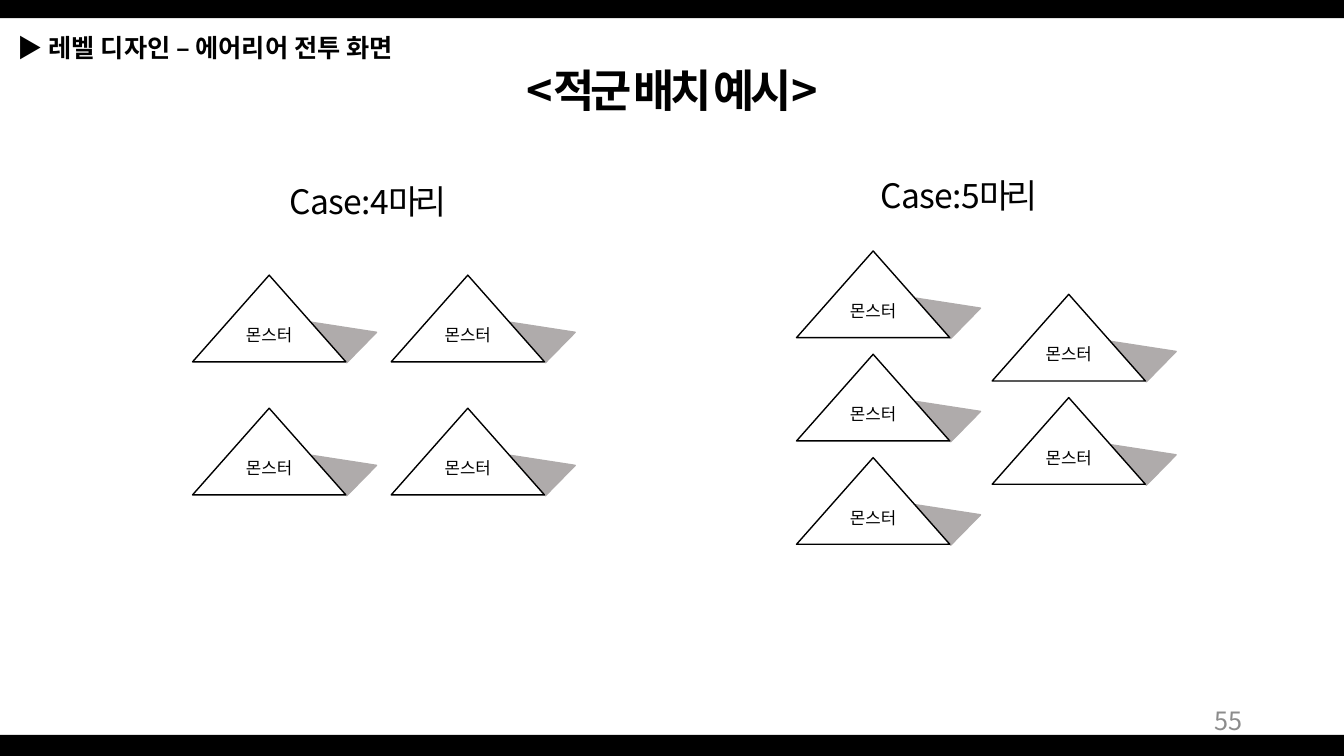
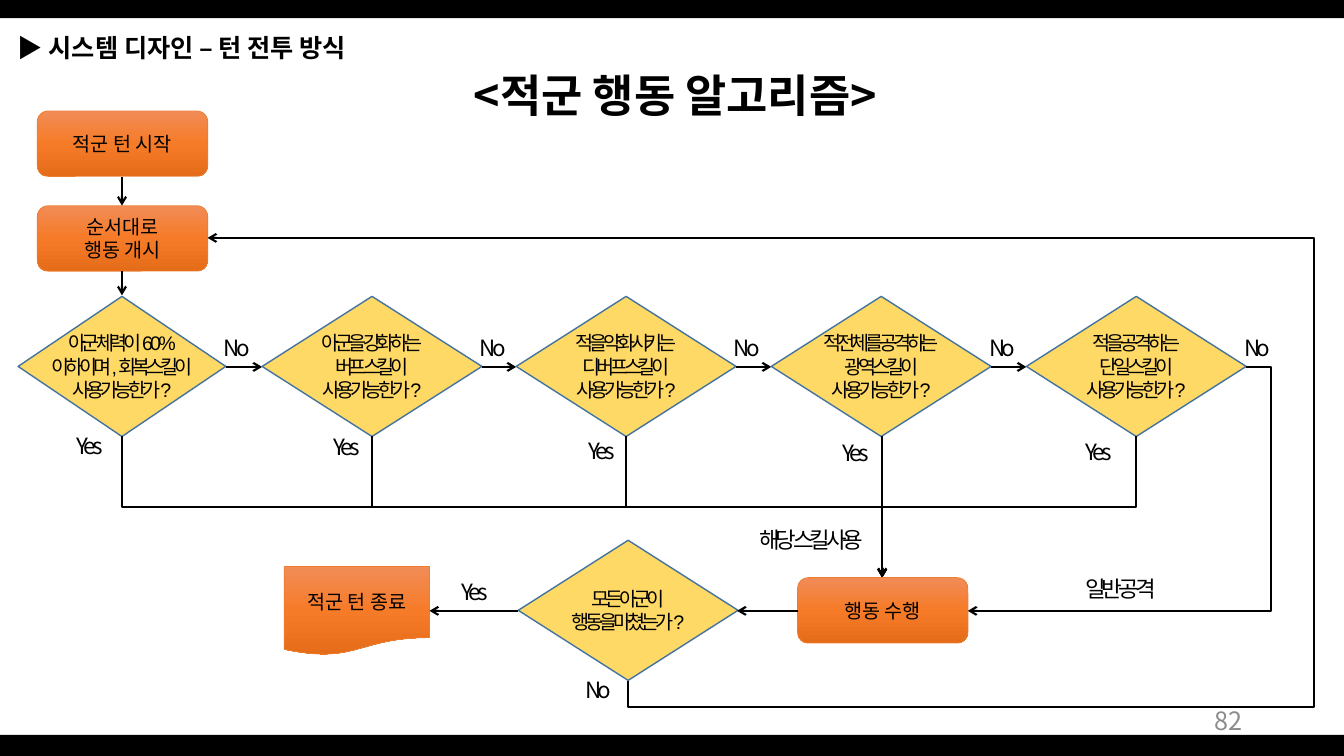
from copy import deepcopy

from lxml import etree
from pptx import Presentation
from pptx.dml.color import RGBColor
from pptx.enum import shapes, text
from pptx.oxml import ns
from pptx.util import Inches, Pt

SHAPE = shapes.MSO_SHAPE
LINE = shapes.MSO_CONNECTOR
ALIGN = text.PP_ALIGN
ANCHOR = text.MSO_ANCHOR


def rgb(value):
    return RGBColor.from_string(value)


def sub(parent, tag, **attrs):
    return etree.SubElement(parent, ns.qn(tag), attrs)


def write(tf, lines, size=14, font="Noto Sans CJK KR", color="000000", bold=False,
          spacing=0, align=ALIGN.CENTER, anchor=ANCHOR.TOP, wrap=True):
    tf.word_wrap = wrap
    tf.auto_size = text.MSO_AUTO_SIZE.NONE
    tf.vertical_anchor = anchor
    for i, line in enumerate(lines):
        p = tf.add_paragraph() if i else tf.paragraphs[0]
        p.alignment = align
        for run in [line] if isinstance(line, str) else line:
            content, changes = (run, {}) if isinstance(run, str) else run
            r = p.add_run()
            r.text = content
            r.font.size = Pt(size)
            r.font.name = font
            r.font.bold = changes.get("bold", bold)
            r.font.color.rgb = rgb(color)
            rpr = r.font._element
            rpr.set("spc", str(round(changes.get("spacing", spacing) * 100)))
            sub(rpr, "a:ea", typeface="Noto Sans CJK KR")


class Deck:
    black, grey, shade = "000000", "8C8C8C", "AFABAB"
    yellow, blue, orange = "FFD966", "43739E", "ED7D31"
    gradient = [(0, "F18C57"), (0.5, "F67B28"), (1, "E56C19")]
    tight, label_tight = -3, -2.4

    def __init__(self):
        self.prs = Presentation()
        self.prs.slide_width = Inches(13.33)
        self.prs.slide_height = Inches(7.5)

    def slide(self, section, title, title_box, number):
        self.s = self.prs.slides.add_slide(self.prs.slide_layouts[5])
        for y, h in [(0, 0.18), (7.29, 0.21)]:
            self.shape(SHAPE.RECTANGLE, 0, y, 13.33, h, self.black)
        sp = self.s.shapes.title
        sp.left, sp.top, sp.width, sp.height = map(Inches, title_box)
        write(sp.text_frame, [title], size=32, bold=True)
        self.text(0.08, 0.27, 4.7, 0.4, ["▶ ", (section, {"bold": True})],
                  size=18, align=ALIGN.LEFT)
        self.text(9.42, 6.95, 3, 0.4, str(number), size=18, color=self.grey,
                  align=ALIGN.RIGHT, anchor=ANCHOR.MIDDLE)

    def shape(self, kind, x, y, w, h, fill=None, line=None, width=1):
        sp = self.s.shapes.add_shape(kind, *map(Inches, (x, y, w, h)))
        sp.shadow.inherit = False
        if fill:
            sp.fill.solid()
            sp.fill.fore_color.rgb = rgb(fill)
        if line:
            sp.line.color.rgb = rgb(line)
            sp.line.width = Pt(width)
        else:
            sp.line.fill.background()
        return sp

    def text(self, x, y, w, h, line, **fmt):
        sp = self.s.shapes.add_textbox(*map(Inches, (x, y, w, h)))
        write(sp.text_frame, [line], **fmt)

    def label(self, x, y, content, w=0.74, spacing=label_tight):
        self.text(x, y, w, 0.37, content, size=16, spacing=spacing, wrap=False)

    def monster(self, x, y):
        shadow = self.shape(SHAPE.ISOSCELES_TRIANGLE, x + 1.25, y + 0.32, 0.53, 0.42,
                            self.shade, self.shade)
        shadow.adjustments[0] = 0.937
        shadow.rotation = 49
        sp = self.shape(SHAPE.ISOSCELES_TRIANGLE, x, y, 1.52, 0.86, "FFFFFF", self.black)
        tf = sp.text_frame
        tf.margin_top, tf.margin_bottom = 0, Inches(0.1)
        write(tf, ["몬스터"], size=12, anchor=ANCHOR.MIDDLE, wrap=False)

    def step(self, x, y, lines, kind=SHAPE.ROUNDED_RECTANGLE, w=1.69, h=0.65):
        sp = self.shape(kind, x, y, w, h, line=self.orange, width=0.5)
        sp.fill.gradient()
        sp.fill.gradient_angle = 270
        stops = sp._element.spPr.find(".//" + ns.qn("a:gsLst"))
        stops.insert(1, deepcopy(stops[0]))
        for stop, (position, color) in zip(sp.fill.gradient_stops, self.gradient):
            stop.position = position
            stop.color.rgb = rgb(color)
        write(sp.text_frame, lines, anchor=ANCHOR.MIDDLE)

    def decision(self, center, y, lines, w=2.18):
        sp = self.shape(SHAPE.DIAMOND, center - w / 2, y, w, 1.39, self.yellow, self.blue)
        write(sp.text_frame, lines, font="Arial", spacing=self.tight,
              anchor=ANCHOR.MIDDLE, wrap=False)

    def arrow(self, x1, y1, x2, y2, kind=LINE.STRAIGHT, adjust=()):
        c = self.s.shapes.add_connector(kind, *map(Inches, (x1, y1, x2, y2)))
        c.line.color.rgb = rgb(self.black)
        c.line.width = Pt(1.5)
        sub(c.line._get_or_add_ln(), "a:tailEnd", type="arrow")
        sppr = c._element.spPr
        sub(sppr, "a:effectLst")
        guides = sppr.find(".//" + ns.qn("a:avLst"))
        for i, value in enumerate(adjust, 1):
            sub(guides, "a:gd", name=f"adj{i}", fmla=f"val {round(value * 100000)}")
        return c

    def vertical_elbow(self, x1, y1, x2, y2, adjust=(0.5,)):
        cx, cy = (x1 + x2) / 2, (y1 + y2) / 2
        w, h = abs(y2 - y1), abs(x2 - x1)
        left, right = cx - w / 2, cx + w / 2
        if (x2 > x1) == (y2 > y1):
            left, right = right, left
        c = self.arrow(left, cy - h / 2, right, cy + h / 2, LINE.ELBOW, adjust)
        sppr = c._element.spPr
        sppr.find(ns.qn("a:xfrm")).set("rot", str((270 if x2 > x1 else 90) * 60000))
        sppr.find(ns.qn("a:prstGeom")).set("prst", f"bentConnector{len(adjust) + 2}")


def placement(deck):
    deck.slide("레벨 디자인 – 에어리어 전투 화면",
               [("<적군 배치 예시>", {"spacing": deck.tight})], (4.49, 0.57, 4.36, 0.64), 55)
    for x, y, w, case in [(2.66, 1.75, 1.98, "Case:4"), (8.57, 1.69, 1.88, "Case:5")]:
        deck.text(x, y, w, 0.5, [(case, {"spacing": -0.5}), ("마리", {"spacing": deck.tight})],
                  size=24, wrap=False)
    columns = [(1.91, 2.73, 1.32, 2), (3.88, 2.73, 1.32, 2),
               (7.9, 2.49, 1.025, 3), (9.84, 2.92, 1.025, 2)]
    for x, y, pitch, count in columns:
        for row in range(count):
            deck.monster(x, y + row * pitch)


def algorithm(deck):
    deck.slide("시스템 디자인 – 턴 전투 방식",
               [("<", {"spacing": deck.tight}), "적군 행동 알고리즘", ">"],
               (3.29, 0.62, 6.82, 0.64), 82)
    start_x, action_x, middle, flow_y = 1.21, 8.75, 6.23, 6.06
    deck.step(0.37, 1.1, ["적군 턴 시작"])
    deck.step(0.37, 2.04, ["순서대로", "행동 개시"])
    deck.arrow(start_x, 1.76, start_x, 2.04)
    deck.arrow(start_x, 2.69, start_x, 2.93)

    usable = "사용 가능한가 ?"
    health = ["아군 체력이 ", ("60%", {"spacing": -2})]
    decisions = [
        (start_x, 2.06, 0.52, 4.24, [health, "이하이며 , 회복 스킬이", usable]),
        (3.69, 2.18, 3.07, 4.25, ["아군을 강화하는", "버프 스킬이", usable]),
        (6.21, 2.18, 5.6, 4.29, ["적을 약화시키는", "디버프 스킬이", usable]),
        (8.74, 2.18, 8.12, 4.31, ["적 전체를 공격하는", "광역 스킬이", usable]),
        (11.27, 2.18, 10.53, 4.3, ["적을 공격하는", "단일 스킬이", usable]),
    ]
    for i, (center, w, yes_x, yes_y, lines) in enumerate(decisions):
        right = center + w / 2
        deck.decision(center, 2.94, lines, w)
        deck.label(yes_x, yes_y, "Yes")
        deck.label(right - 0.26, 3.27, "No")
        if i < 4:
            deck.arrow(right, 3.64, decisions[i + 1][0] - 1.09, 3.64)
        if i == 3:
            deck.arrow(action_x, 4.33, action_x, 5.73)
        else:
            deck.vertical_elbow(center, 4.33, action_x, 5.73)
    deck.label(7.27, 5.17, "해당 스킬 사용", 1.56, deck.tight)

    deck.step(7.91, 5.73, ["행동 수행"])
    deck.arrow(12.36, 3.64, 9.6, flow_y, LINE.ELBOW, (-0.09,))
    deck.label(10.51, 5.66, "일반 공격", 1.21, deck.tight)
    deck.decision(middle, 5.36, ["모든 아군이", "행동을 마쳤는가?"])
    deck.arrow(7.91, flow_y, 7.31, flow_y)
    deck.step(2.82, 5.62, ["적군 턴 종료"], SHAPE.FLOWCHART_DOCUMENT, 1.44, 0.88)
    deck.arrow(5.14, flow_y, 4.26, flow_y)
    deck.label(4.34, 5.69, "Yes")
    deck.label(5.66, 6.66, "No", 0.55)
    deck.vertical_elbow(middle, 6.76, 2.06, 2.36, (-0.057, -1.632))


def main():
    deck = Deck()
    placement(deck)
    algorithm(deck)
    deck.prs.save("out.pptx")


if __name__ == "__main__":
    main()
